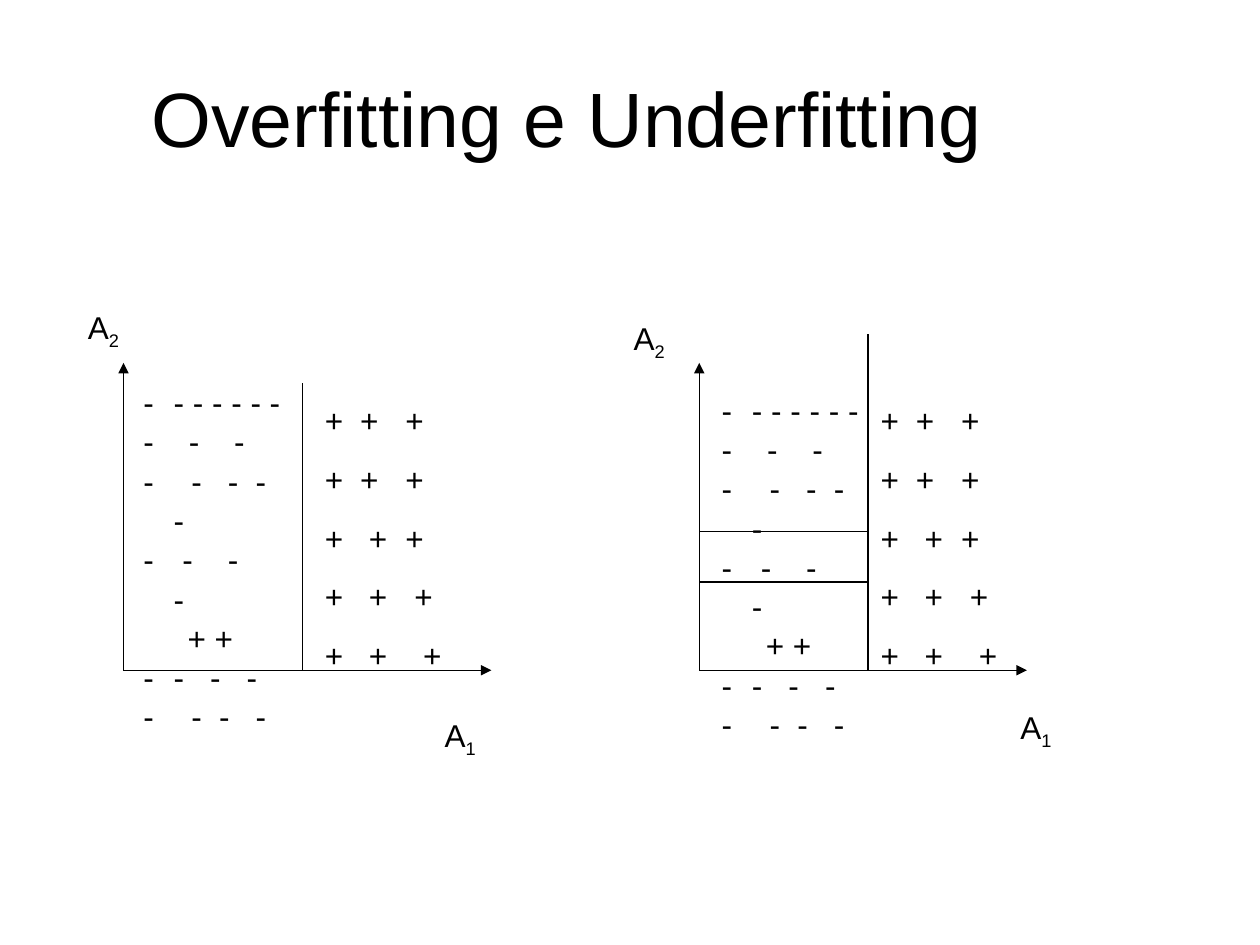
"""Build the slide that sets an overfitted split beside an underfitted one."""
from lxml.etree import SubElement
from pptx import Presentation
from pptx.dml.color import RGBColor
from pptx.enum.shapes import MSO_CONNECTOR as Connector
from pptx.enum.text import MSO_ANCHOR as Anchor, PP_ALIGN as Align
from pptx.oxml.ns import qn
from pptx.util import Inches, Pt

BLACK = RGBColor(0, 0, 0)
BASE_Y = 5.32
AXIS_TOP = 2.88

NEGATIVES = [
    ("-\t- - - - - -", [0.24]),
    ("-\t-\t-", [0.36, 0.72]),
    ("-\t-\t-\t-", [0.38, 0.67, 0.89]),
    ("\t-", [0.24]),
    ("-\t-\t-", [0.31, 0.67]),
    ("\t-", [0.24]),
    ("\t+ +", [0.35]),
    ("-\t-\t-\t-", [0.24, 0.53, 0.82]),
    ("-\t-\t-\t-", [0.38, 0.6, 0.89]),
]
POSITIVES = [("+\t+\t+", stops) for stops in (
    [0.28, 0.64], [0.28, 0.64], [0.35, 0.64], [0.35, 0.71], [0.35, 0.78])]

PANELS = [
    dict(origin=0.98, axis_end=3.9, split=2.4, split_top=3.04, cuts=[],
         negatives=(1.04, 2.98), positives=(2.48, 3.12),
         a1=(3.43, 5.62), a2=(0.6, 2.38)),
    dict(origin=5.55, axis_end=8.15, split=6.89, split_top=2.65, cuts=[4.22, 4.62],
         negatives=(5.63, 3.04), positives=(6.89, 3.12),
         a1=(8, 5.56), a2=(4.93, 2.47)),
]


class SlideWriter:
    """Hold the text style and the slide being drawn."""

    font_format = {"name": "Arial", "size": Pt(18)}
    frame_format = {"word_wrap": True, "vertical_anchor": Anchor.TOP}

    def __init__(self, slide):
        self.slide = slide

    def style(self, run, **changes):
        for name, value in {**self.font_format, **changes}.items():
            setattr(run.font, name, value)
        run.font.color.rgb = BLACK

    def title(self, wording, left, top, width, height):
        heading = self.slide.shapes.title
        place = {"left": left, "top": top, "width": width, "height": height}
        for name, value in place.items():
            setattr(heading, name, Inches(value))
        heading.text_frame.vertical_anchor = Anchor.MIDDLE
        paragraph = heading.text_frame.paragraphs[0]
        paragraph.alignment = Align.CENTER
        run = paragraph.add_run()
        run.text = wording
        self.style(run, size=Pt(44))

    def line(self, start, end, arrow=False):
        points = [Inches(value) for value in (*start, *end)]
        connector = self.slide.shapes.add_connector(Connector.STRAIGHT, *points)
        connector.line.color.rgb = BLACK
        connector.line.width = Pt(0.75)
        properties = connector._element.spPr
        if arrow:
            SubElement(properties.find(qn("a:ln")), qn("a:tailEnd"), type="triangle")
        SubElement(properties, qn("a:effectLst"))

    def frame(self, corner, width, height):
        box = self.slide.shapes.add_textbox(
            *[Inches(value) for value in (*corner, width, height)])
        for name, value in self.frame_format.items():
            setattr(box.text_frame, name, value)
        return box.text_frame

    def axis_label(self, corner, index):
        paragraph = self.frame(corner, 0.5, 0.44).paragraphs[0]
        paragraph.line_spacing = 1.04
        for wording in ("A", index):
            run = paragraph.add_run()
            run.text = wording
            self.style(run)
        run.font._element.set("baseline", "-25000")

    def marks(self, corner, rows, height, gap=0):
        frame = self.frame(corner, 1.34, height)
        for number, (wording, stops) in enumerate(rows):
            paragraph = frame.add_paragraph() if number else frame.paragraphs[0]
            tabs = SubElement(paragraph._p.get_or_add_pPr(), qn("a:tabLst"))
            for stop in stops:
                SubElement(tabs, qn("a:tab"), pos=str(Inches(stop)), algn="l")
            paragraph.line_spacing = 1.04
            paragraph.space_before = Pt(gap if number else 0)
            run = paragraph.add_run()
            run.text = wording
            self.style(run)

    def panel(self, origin, axis_end, split, split_top, cuts, negatives, positives, a1, a2):
        corner = (origin, BASE_Y)
        self.line(corner, (axis_end, BASE_Y), arrow=True)
        self.line(corner, (origin, AXIS_TOP), arrow=True)
        self.line((split, BASE_Y), (split, split_top))
        for cut in cuts:
            self.line((origin, cut), (split, cut))
        self.marks(negatives, NEGATIVES, 2.8)
        self.marks(positives, POSITIVES, 2.23, gap=11.2)
        self.axis_label(a1, "1")
        self.axis_label(a2, "2")


def main():
    presentation = Presentation()
    presentation.slide_width, presentation.slide_height = Inches(10), Inches(7.5)
    writer = SlideWriter(presentation.slides.add_slide(presentation.slide_layouts[5]))
    writer.title("Overfitting e Underfitting", 0, 0.3, 9, 1.25)
    for panel in PANELS:
        writer.panel(**panel)
    presentation.save("out.pptx")


if __name__ == "__main__":
    main()
